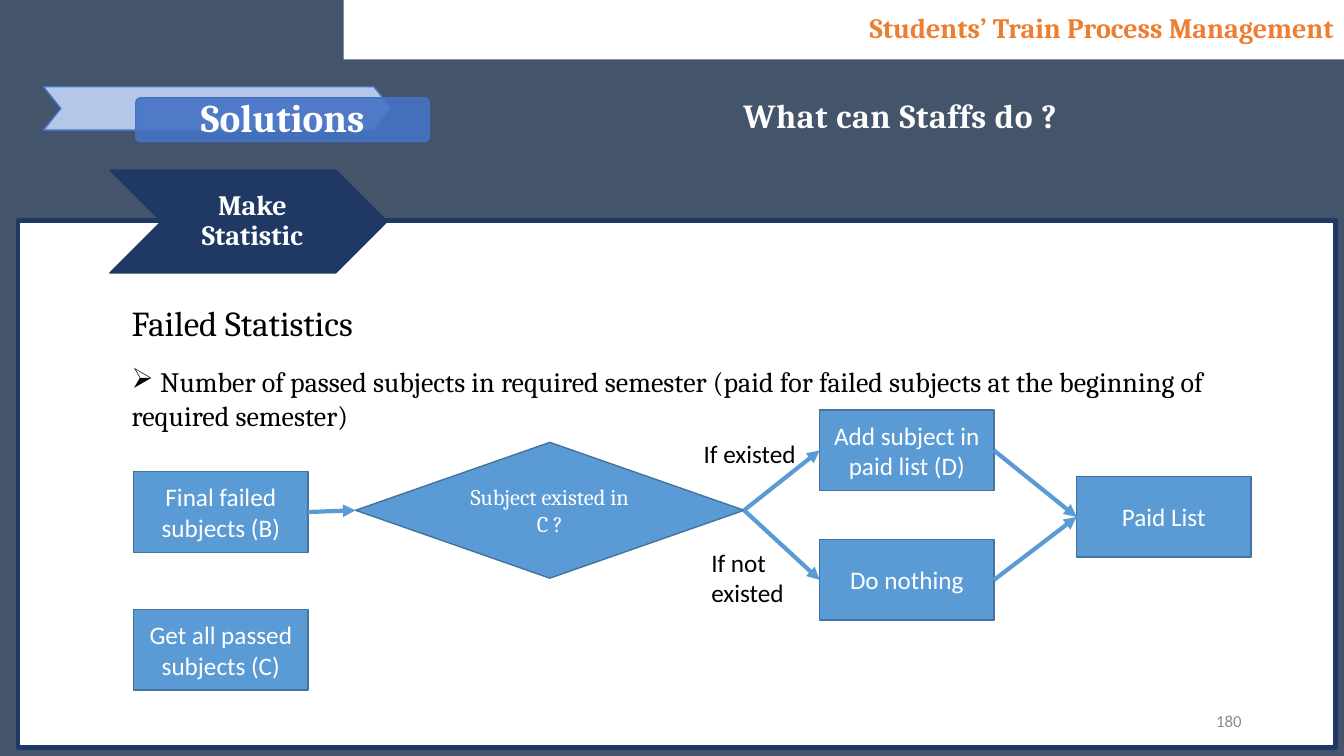
from lxml import etree
from pptx import Presentation
from pptx.dml.color import RGBColor
from pptx.enum import shapes, text
from pptx.oxml.ns import qn
from pptx.util import Pt

# Content: frames are (left, top, width, height) in points
HEADER = "Students’ Train Process Management"
SECTION = "Solutions"
QUESTION = "What can Staffs do ?"
TOPIC = "Make Statistic"
HEADING = "Failed Statistics"
BULLET = (" Number of passed subjects in required semester "
          "(paid for failed subjects at the beginning of required semester)")
PAGE_NUMBER = "180"
STEP_SIZE = (124.5, 57.5)
STEPS = {  # name: (left, top, words)
    "passed": (95.5, 435.5, "Get all passed subjects (C)"),
    "failed": (95.5, 337, "Final failed subjects (B)"),
    "add": (585.5, 293, "Add subject in paid list (D)"),
    "nothing": (585.5, 385.5, "Do nothing"),
    "paid": (769, 340.5, "Paid List"),
}
DECISION = ("decision", (254, 316, 277.5, 97), "Subject existed in C ?")
ARROWS = [("failed", "decision"), ("decision", "add"), ("decision", "nothing"),
          ("add", "paid"), ("nothing", "paid")]
BRANCH_LABELS = [((495.5, 309.5, 85, 29), "If existed"),
                 ((501, 387.5, 85, 51), "If not existed")]

THEME = {
    "serif": "Cambria", "sans": "Calibri",
    "slate": "44546A", "white": "FFFFFF", "soft_white": "FEFEFE",
    "black": "000000", "grey": "8C8C8C", "navy": "203864",
    "orange": "ED7D31", "pale": "B4C7E7", "blue": "4472C4",
    "step": "5B9BD5", "step_edge": "43739E",
    "section": 28, "heading": 25, "question": 24, "body": 20,
    "label": 18, "decision": 16, "number": 12,
}
SHAPE = shapes.MSO_SHAPE
LEFT, CENTER, RIGHT = (text.PP_ALIGN.LEFT, text.PP_ALIGN.CENTER,
                       text.PP_ALIGN.RIGHT)
TOP, MIDDLE = text.MSO_ANCHOR.TOP, text.MSO_ANCHOR.MIDDLE

deck = Presentation()
deck.slide_width, deck.slide_height = Pt(960), Pt(540)
page = deck.slides.add_slide(deck.slide_layouts[6])
page.background.fill.solid()


def color(name):
    return RGBColor.from_string(THEME[name])


page.background.fill.fore_color.rgb = color("slate")


def add_shape(kind, frame, fill, edge=None, weight=1, adjust=None):
    shape = page.shapes.add_shape(kind, *map(Pt, frame))
    shape.shadow.inherit = False
    shape.fill.solid()
    shape.fill.fore_color.rgb = color(fill)
    if edge:
        shape.line.color.rgb = color(edge)
        shape.line.width = Pt(weight)
    else:
        shape.line.fill.background()
    if adjust is not None:
        shape.adjustments[0] = adjust
    return shape


def add_box(frame):
    return page.shapes.add_textbox(*map(Pt, frame))


def write(box, words, size="label", font="sans", ink="white", bold=False,
          align=CENTER, anchor=MIDDLE, wrap=True, insets=(7.2, 3.6, 7.2, 3.6),
          leading=None, bullet=None, tracking=None, outline=None):
    frame = box.text_frame
    frame.word_wrap, frame.vertical_anchor = wrap, anchor
    (frame.margin_left, frame.margin_top,
     frame.margin_right, frame.margin_bottom) = map(Pt, insets)
    para = frame.paragraphs[0]
    para.alignment = align
    if leading:
        para.line_spacing = leading
    if bullet:
        mark = etree.SubElement(para._p.get_or_add_pPr(), qn("a:buChar"))
        mark.set("char", bullet)
    span = para.add_run()
    span.text = words
    span.font.name, span.font.size = THEME[font], Pt(THEME[size])
    span.font.bold = bold
    span.font.color.rgb = color(ink)
    props = span._r.get_or_add_rPr()
    if tracking:
        props.set("spc", str(int(tracking * 100)))
    if outline:
        name, weight = outline
        line = etree.Element(qn("a:ln"), w=str(int(Pt(weight))))
        solid = etree.SubElement(line, qn("a:solidFill"))
        etree.SubElement(solid, qn("a:srgbClr"), val=THEME[name])
        props.insert(0, line)


def add_arrow(start, end):
    arrow = page.shapes.add_connector(shapes.MSO_CONNECTOR.STRAIGHT, 0, 0, 0, 0)
    arrow.begin_connect(start, 3)
    arrow.end_connect(end, 1)
    arrow.line.color.rgb = color("step")
    arrow.line.width = Pt(3)
    etree.SubElement(arrow.line._get_or_add_ln(), qn("a:tailEnd"), type="triangle")
    etree.SubElement(arrow._element.spPr, qn("a:effectLst"))


# Panel and header
add_shape(SHAPE.RECTANGLE, (13, 157.5, 941, 376.5), "white", "navy", 3)
header = add_shape(SHAPE.RECTANGLE, (245.5, 0, 714.5, 42.5), "white")
write(header, HEADER, size="body", font="serif", ink="orange", bold=True,
      align=RIGHT, leading=0.9, outline=("orange", 0.52))

# Section banner
add_shape(SHAPE.CHEVRON, (31, 62, 248.5, 31), "pale", "blue", adjust=0.4)
banner = add_shape(SHAPE.ROUNDED_RECTANGLE, (97, 70, 209.5, 31), "blue", "blue",
                   adjust=0.1)
banner_color = banner._element.spPr.find(qn("a:solidFill"))[0]
etree.SubElement(banner_color, qn("a:alpha"), val="90000")
write(add_box((98, 70.5, 208, 29.5)), SECTION, size="section", font="serif",
      bold=True, leading=0.9, insets=(16, 16, 16, 16))
write(add_box((520.5, 64, 245, 36)), QUESTION, size="question", font="serif",
      ink="soft_white", bold=True, anchor=TOP, wrap=False, tracking=0.5,
      outline=("step", 0.75))

# Heading and bullet
write(add_box((87, 211.5, 301.5, 37.5)), HEADING, size="heading", font="serif",
      ink="black", align=LEFT, anchor=TOP)
write(add_box((87, 257, 842.5, 55.5)), BULLET, size="body", font="serif",
      ink="black", align=LEFT, anchor=TOP, bullet="➢")

# Flowchart
nodes = {}
for name, (left, top, words) in STEPS.items():
    nodes[name] = add_shape(SHAPE.RECTANGLE, (left, top, *STEP_SIZE),
                            "step", "step_edge")
    write(nodes[name], words)
name, frame, words = DECISION
nodes[name] = add_shape(SHAPE.DIAMOND, frame, "step", "step_edge")
write(nodes[name], words, size="decision", font="serif")
for start, end in ARROWS:
    add_arrow(nodes[start], nodes[end])
for frame, words in BRANCH_LABELS:
    write(add_box(frame), words, ink="black", align=LEFT, anchor=TOP)

# Topic chevron
add_shape(SHAPE.CHEVRON, (78.5, 121.5, 198, 73.5), "navy", "navy")
topic = add_shape(SHAPE.RECTANGLE, (118, 121.5, 119, 73.5), "navy", "navy", 0.75)
write(topic, TOPIC, size="body", font="serif", bold=True, leading=0.9,
      insets=(8.6, 2.9, 2.9, 2.9))

# Page number
write(add_box((678, 500.5, 216, 29)), PAGE_NUMBER, size="number", ink="grey",
      align=RIGHT)

deck.save("out.pptx")
